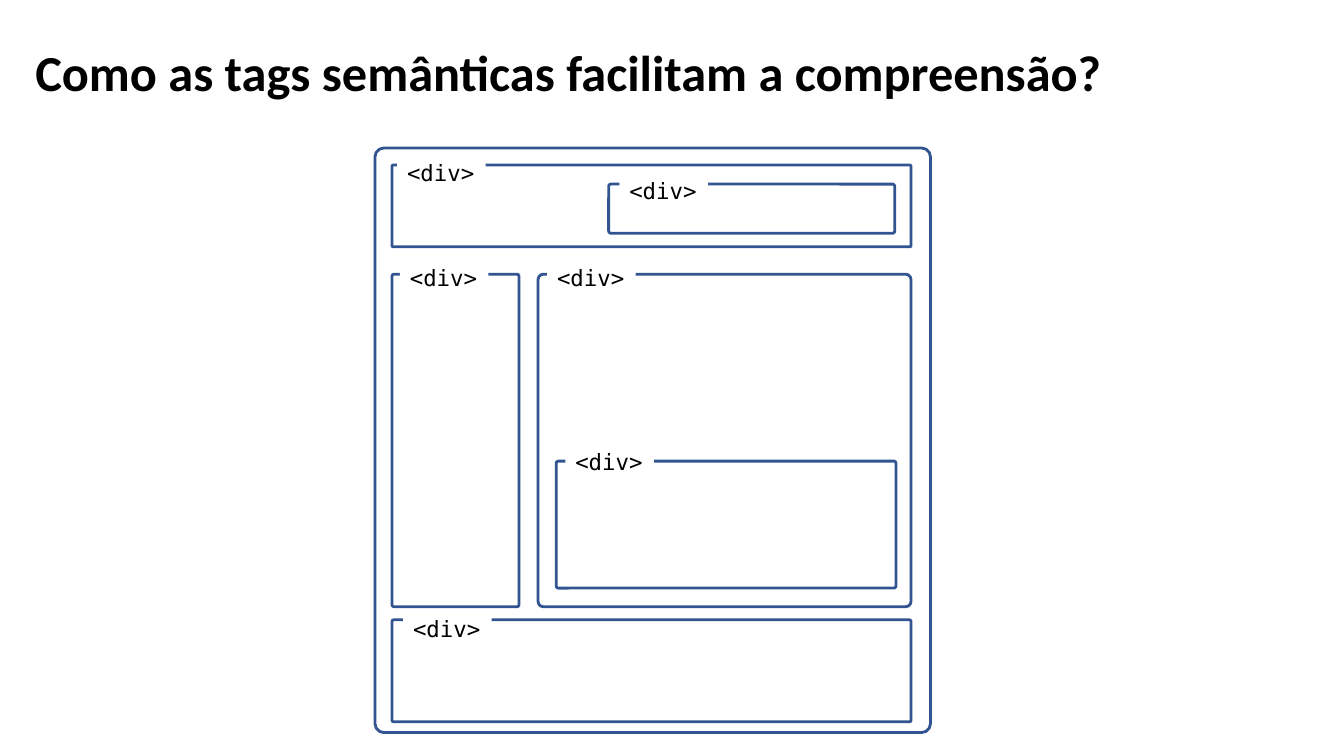
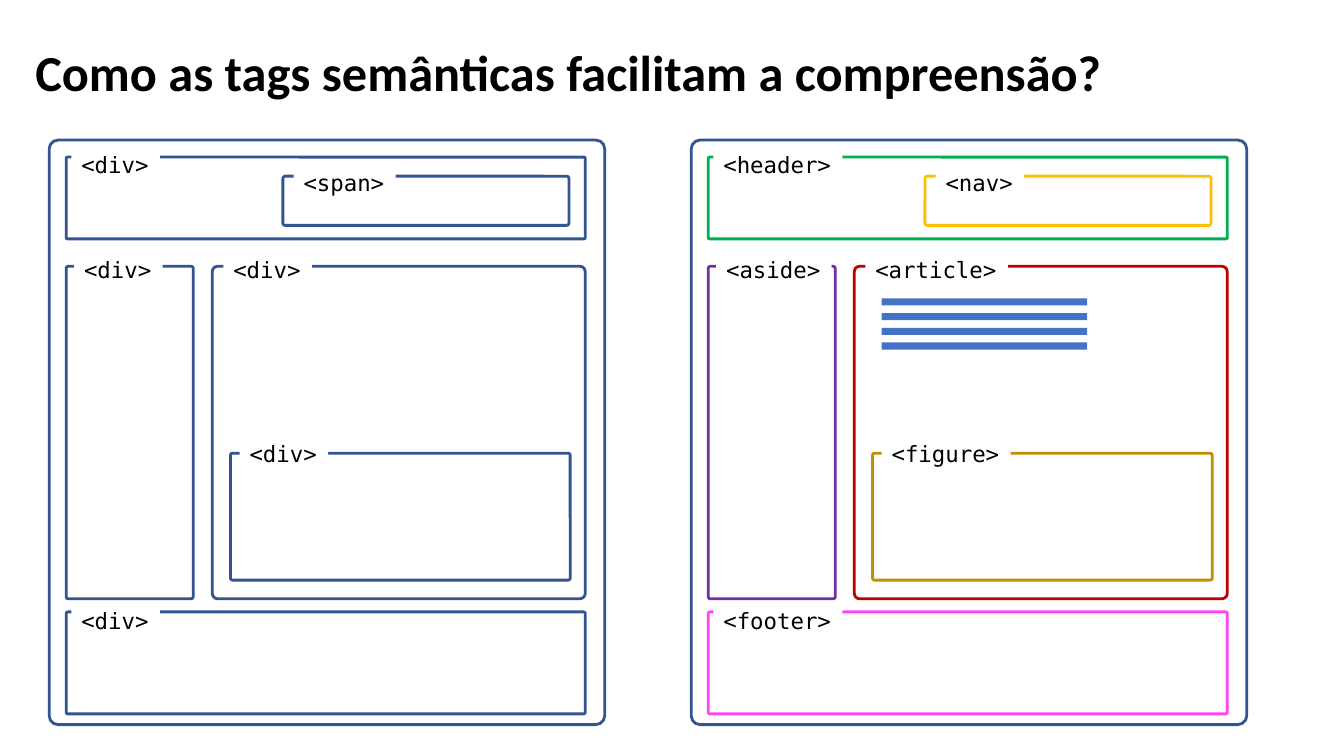
from dataclasses import dataclass

from pptx import Presentation
from pptx.dml.color import RGBColor
from pptx.enum.shapes import MSO_SHAPE
from pptx.enum.text import MSO_ANCHOR, MSO_AUTO_SIZE
from pptx.util import Cm, Pt


@dataclass(frozen=True)
class Theme:
    title_font: str = "Calibri"
    code_font: str = "DejaVu Sans Mono"
    title_size: int = 36
    code_size: int = 16
    line_width: int = 2
    ink: str = "000000"
    paper: str = "FFFFFF"
    outline: str = "325491"
    text_bar: str = "4472C4"


THEME = Theme()

# Content: all lengths in centimetres
TITLE = "Como as tags semânticas facilitam a compreensão?"
TITLE_BOX = (0.64, 0.05, 29.21, 3.68)
PAGE_SIZE = (14, 14.73)

# Region: box relative to the web page, corner, label offset from the box
REGIONS = {
    "header": ((0.43, 0.43, 13.08, 2.06), 0.016, (0.13, -0.28)),
    "nav": ((5.89, 0.91, 7.21, 1.24), 0.048, (0.27, -0.3)),
    "article": ((4.11, 3.18, 9.4, 8.38), 0.016, (0.28, -0.38)),
    "figure": ((4.57, 7.89, 8.56, 3.2), 0.016, (0.23, -0.45)),
    "aside": ((0.43, 3.18, 3.2, 8.38), 0.016, (0.2, -0.38)),
    "footer": ((0.43, 11.89, 13.08, 2.57), 0.016, (0.13, -0.25)),
}
SEMANTIC_COLORS = {
    "header": "00B050", "nav": "FFC000", "article": "C00000",
    "figure": "BF9000", "aside": "7030A0", "footer": "FF44F3",
}
ALL_DIVS = {name: "div" for name in REGIONS}
SEMANTIC_TAGS = {name: name for name in REGIONS}

# Each slide: wireframes with position, tags, colours, label shifts, text bars
SLIDES = [
    [dict(left=9.45, top=3.73, tags=ALL_DIVS,
          label_shifts={"article": -0.05, "footer": 0.15})],
    [dict(left=1.24, top=3.53, tags={**ALL_DIVS, "nav": "span"}),
     dict(left=17.42, top=3.53, tags=SEMANTIC_TAGS,
          colors=SEMANTIC_COLORS, bar_count=4)],
]
FIRST_BAR = (4.8, 3.99, 5.18, 0.18)
BAR_STEP = 0.37
LABEL_PADDING, CHARACTER_WIDTH, LABEL_HEIGHT = 0.53, 0.34, 0.94


def style_text(box, text, font, size, bold=False):
    para = box.text_frame.paragraphs[0]
    para.text = text
    span = para.runs[0]
    span.font.name = font
    span.font.size = Pt(size)
    span.font.bold = bold
    span.font.color.rgb = RGBColor.from_string(THEME.ink)
    return para


def add_title(page):
    box = page.shapes.add_textbox(*map(Cm, TITLE_BOX))
    box.text_frame.word_wrap = True
    box.text_frame.vertical_anchor = MSO_ANCHOR.MIDDLE
    para = style_text(box, TITLE, THEME.title_font, THEME.title_size, bold=True)
    para.line_spacing = 0.9


def add_frame(page, left, top, width, height, color, corner=0.016):
    frame = page.shapes.add_shape(
        MSO_SHAPE.ROUNDED_RECTANGLE, *map(Cm, (left, top, width, height)))
    frame.adjustments[0] = corner
    frame.shadow.inherit = False
    frame.fill.background()
    frame.line.color.rgb = RGBColor.from_string(color)
    frame.line.width = Pt(THEME.line_width)


def add_label(page, left, top, tag):
    text = f"<{tag}>"
    width = LABEL_PADDING + CHARACTER_WIDTH * len(text)
    label = page.shapes.add_textbox(*map(Cm, (left, top, width, LABEL_HEIGHT)))
    label.fill.solid()
    label.fill.fore_color.rgb = RGBColor.from_string(THEME.paper)
    label.text_frame.word_wrap = False
    label.text_frame.auto_size = MSO_AUTO_SIZE.SHAPE_TO_FIT_TEXT
    style_text(label, text, THEME.code_font, THEME.code_size)


def add_bar(page, left, top, width, height):
    bar = page.shapes.add_shape(
        MSO_SHAPE.RECTANGLE, *map(Cm, (left, top, width, height)))
    bar.shadow.inherit = False
    bar.fill.solid()
    bar.fill.fore_color.rgb = RGBColor.from_string(THEME.text_bar)
    bar.line.fill.background()


def add_wireframe(page, left, top, tags, colors=None, label_shifts=None,
                  bar_count=0):
    colors, label_shifts = colors or {}, label_shifts or {}
    add_frame(page, left, top, *PAGE_SIZE, THEME.outline)

    # Regions, each with its tag over the top edge
    for name, ((x, y, width, height), corner, (dx, dy)) in REGIONS.items():
        color = colors.get(name, THEME.outline)
        add_frame(page, left + x, top + y, width, height, color, corner)
        shift = label_shifts.get(name, 0)
        add_label(page, left + x + dx + shift, top + y + dy, tags[name])

    # Lines of article text
    x, y, width, height = FIRST_BAR
    for index in range(bar_count):
        add_bar(page, left + x, top + y + index * BAR_STEP, width, height)


# Build the deck
deck = Presentation()
deck.slide_width, deck.slide_height = Cm(33.87), Cm(19.05)
for wireframes in SLIDES:
    page = deck.slides.add_slide(deck.slide_layouts[6])
    add_title(page)
    for wireframe in wireframes:
        add_wireframe(page, **wireframe)
deck.save("out.pptx")
